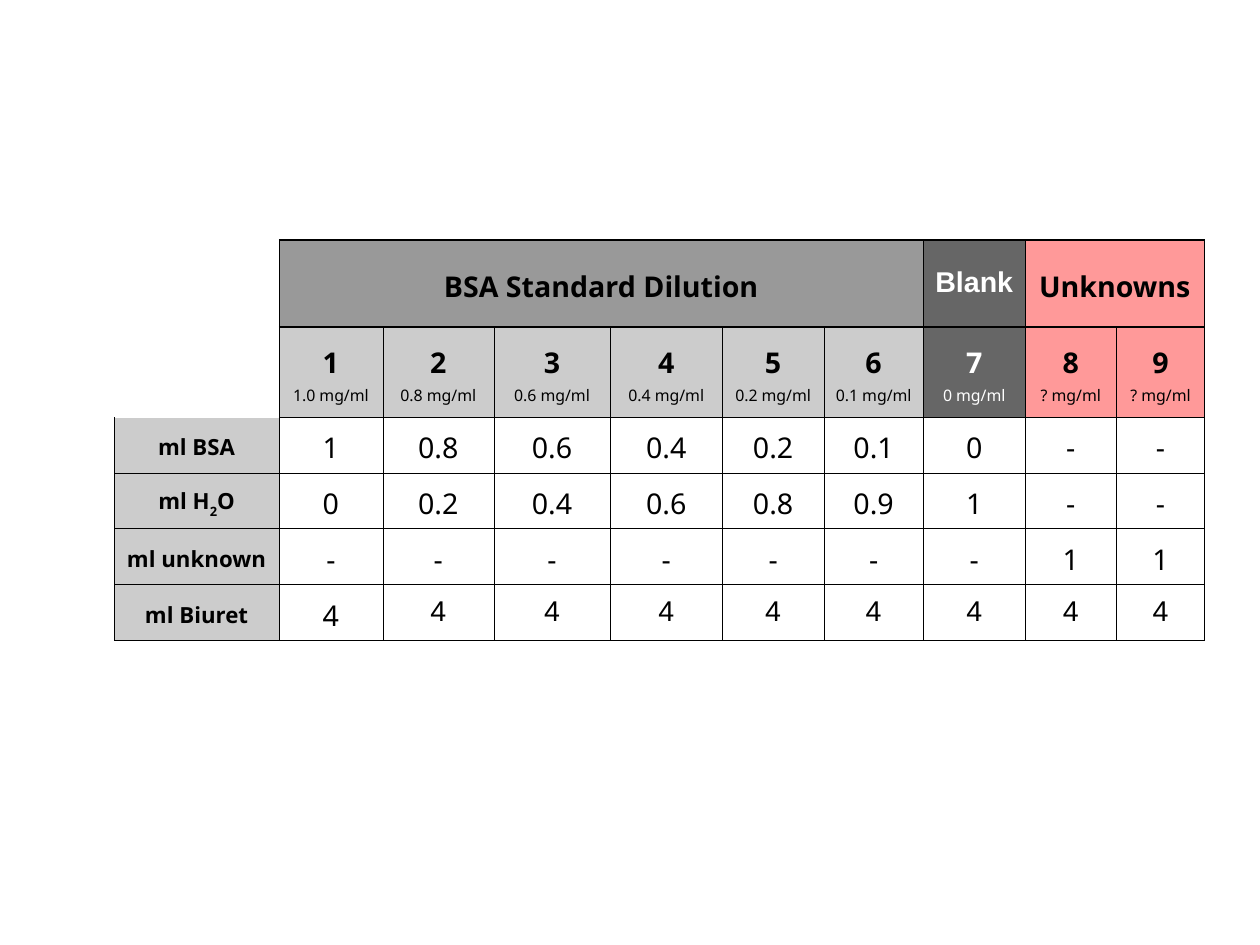
import pptx
import pptx.dml.color
import pptx.enum.text
import pptx.oxml.ns
import pptx.util
from lxml import etree

Inches = pptx.util.Inches
Pt = pptx.util.Pt
RGBColor = pptx.dml.color.RGBColor

BLACK = RGBColor(0x00, 0x00, 0x00)
WHITE = RGBColor(0xFF, 0xFF, 0xFF)
CHARCOAL = RGBColor(0x66, 0x66, 0x66)
GREY = RGBColor(0x99, 0x99, 0x99)
SILVER = RGBColor(0xCC, 0xCC, 0xCC)
PINK = RGBColor(0xFF, 0x99, 0x99)

CM_PER_INCH = 2.54
HAIRLINE, LABEL_EDGE, HEADER_EDGE = 0.06, 0.4, 1.25
GRID = {side: (BLACK, HAIRLINE) for side in "LRTB"}
COLUMN_WIDTHS = [1.44, 0.91, 0.97, 1.02, 0.98, 0.89, 0.87, 0.89, 0.8, 0.77]
ROW_HEIGHTS = [0.76, 0.79, 0.49, 0.48, 0.49, 0.49]

GROUPS = [
    ("BSA Standard Dilution", 1, 6, GREY, BLACK, "Noto Sans", 1.13),
    ("Blank", 7, 7, CHARCOAL, WHITE, "Arial", 0.93),
    ("Unknowns", 8, 9, PINK, BLACK, "Noto Sans", 1.13),
]
CONCENTRATIONS = ["1.0", "0.8", "0.6", "0.4", "0.2", "0.1", "0", "?", "?"]
VOLUMES = [
    (["ml BSA"], "1 0.8 0.6 0.4 0.2 0.1 0 - -".split()),
    (["ml H", "2", "O"], "0 0.2 0.4 0.6 0.8 0.9 1 - -".split()),
    (["ml unknown"], "- - - - - - - 1 1".split()),
    (["ml Biuret"], ["4"] * 9),
]


def add_text(paragraph, text, *, size=18, bold=False, color=BLACK,
             font="Noto Sans", spacing=1.13, baseline=0):
    paragraph.alignment = pptx.enum.text.PP_ALIGN.CENTER
    paragraph.line_spacing = spacing
    run = paragraph.add_run()
    run.text = text
    run.font.size = Pt(size)
    run.font.bold = bold
    run.font.name = font
    run.font.color.rgb = color
    if baseline:
        run.font._element.set("baseline", str(baseline * 1000))


class DilutionSlide:
    def __init__(self, presentation):
        self.slide = presentation.slides.add_slide(presentation.slide_layouts[6])

    def add_table(self, left, top, widths, heights):
        frame = self.slide.shapes.add_table(
            len(heights), len(widths), Inches(left), Inches(top),
            Inches(sum(widths)), Inches(sum(heights)))
        self.table = frame.table
        self.table.first_row = False
        self.table.horz_banding = False
        for column, width in zip(self.table.columns, widths):
            column.width = Inches(width)
        for row, height in zip(self.table.rows, heights):
            row.height = Inches(height)

    def style_cell(self, row, column, fill, **edges):
        cell = self.table.cell(row, column)
        cell.vertical_anchor = pptx.enum.text.MSO_ANCHOR.MIDDLE
        properties = cell._tc.get_or_add_tcPr()
        for side, (color, width) in {**GRID, **edges}.items():
            line = etree.SubElement(properties, pptx.oxml.ns.qn(f"a:ln{side}"),
                                    w=str(int(Pt(width))))
            solid = etree.SubElement(line, pptx.oxml.ns.qn("a:solidFill"))
            etree.SubElement(solid, pptx.oxml.ns.qn("a:srgbClr"), val=str(color))
        cell.fill.solid()
        cell.fill.fore_color.rgb = fill
        return cell.text_frame

    def merge(self, top, left, bottom, right):
        self.table.cell(top, left).merge(self.table.cell(bottom, right))

    def add_corner(self):
        white_edge = (WHITE, HAIRLINE)
        for row in range(2):
            self.style_cell(row, 0, WHITE, L=white_edge, T=white_edge, B=white_edge)
        self.merge(0, 0, 1, 0)

    def add_group(self, name, first, last, fill, color, font, spacing):
        edge = (BLACK, HEADER_EDGE)
        for column in range(first, last + 1):
            self.style_cell(0, column, fill, T=edge, B=edge)
            tube_fill = SILVER if fill == GREY else fill
            tube = self.style_cell(1, column, tube_fill, T=edge)
            add_text(tube.paragraphs[0], str(column), bold=True, color=color)
            add_text(tube.add_paragraph(), f"{CONCENTRATIONS[column - 1]} mg/ml",
                     size=10, color=color)
        if last > first:
            self.merge(0, first, 0, last)
        heading = self.table.cell(0, first).text_frame.paragraphs[0]
        add_text(heading, name, bold=True, color=color, font=font, spacing=spacing)

    def add_volumes(self, row, label_parts, volumes):
        top_color = WHITE if row == 2 else BLACK
        label = self.style_cell(row, 0, SILVER, L=(BLACK, LABEL_EDGE),
                                T=(top_color, HAIRLINE))
        for part in label_parts:
            add_text(label.paragraphs[0], part, size=14, bold=True,
                     baseline=-33 if part == "2" else 0)
        for column, volume in enumerate(volumes, start=1):
            is_arial = volume == "4" and column > 1
            value = self.style_cell(row, column, WHITE)
            add_text(value.paragraphs[0], volume,
                     font="Arial" if is_arial else "Noto Sans",
                     spacing=0.93 if is_arial else 1.13)


def main():
    presentation = pptx.Presentation()
    presentation.slide_width = Inches(28 / CM_PER_INCH)
    presentation.slide_height = Inches(21 / CM_PER_INCH)
    dilutions = DilutionSlide(presentation)
    dilutions.add_table(1, 2.1, COLUMN_WIDTHS, ROW_HEIGHTS)
    dilutions.add_corner()
    for group in GROUPS:
        dilutions.add_group(*group)
    for row, (label_parts, volumes) in enumerate(VOLUMES, start=2):
        dilutions.add_volumes(row, label_parts, volumes)
    presentation.save("out.pptx")


if __name__ == "__main__":
    main()
